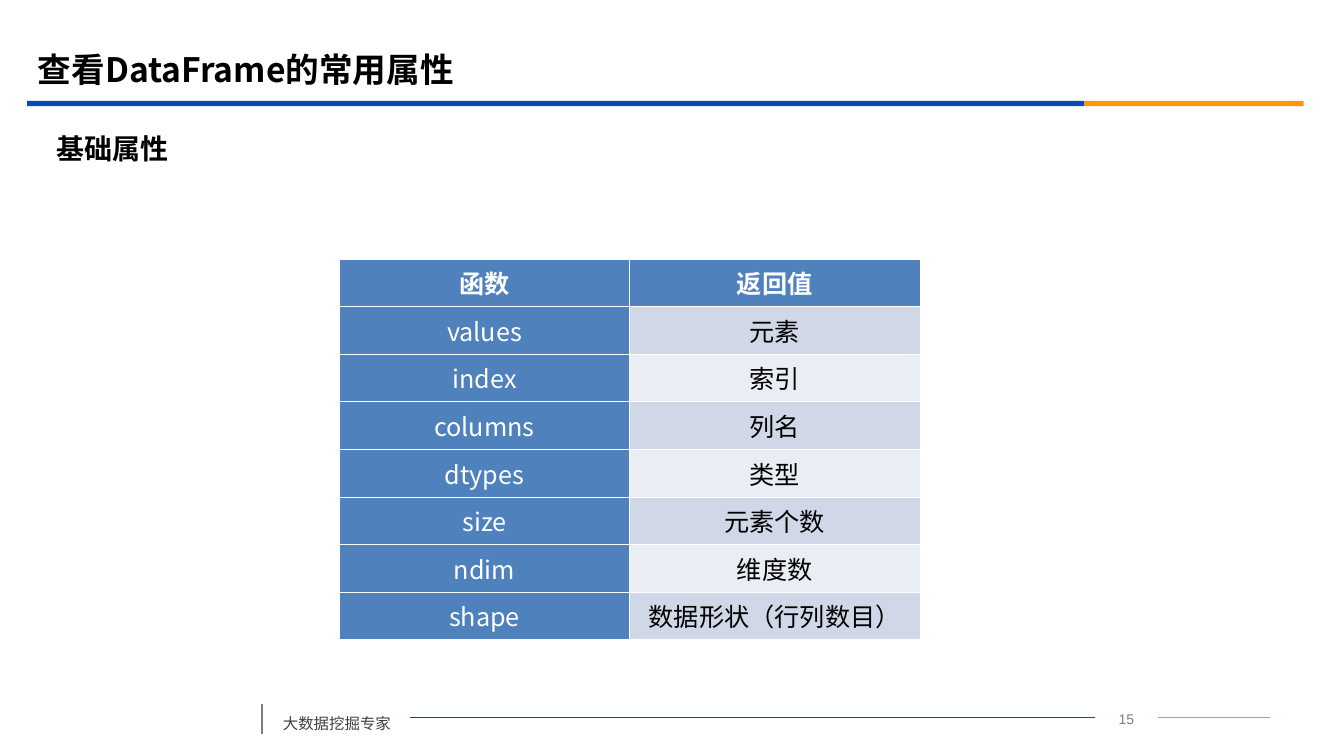
from lxml import etree
from pptx import Presentation
from pptx.dml.color import RGBColor
from pptx.enum.shapes import MSO_CONNECTOR as CONN, MSO_SHAPE as SHAPE
from pptx.enum.text import MSO_ANCHOR as ANCHOR, PP_ALIGN as ALIGN
from pptx.oxml.ns import qn
from pptx.util import Pt

BLACK = RGBColor(0x00, 0x00, 0x00)
WHITE = RGBColor(0xFF, 0xFF, 0xFF)
BLUE = RGBColor(0x06, 0x4B, 0xB2)
ORANGE = RGBColor(0xFB, 0x97, 0x08)
AMBER = RGBColor(0xF1, 0x95, 0x00)
GREY = RGBColor(0x7F, 0x7F, 0x7F)
DARK = RGBColor(0x40, 0x40, 0x40)
HEAD = RGBColor(0x4F, 0x81, 0xBD)
BANDS = RGBColor(0xD0, 0xD8, 0xE8), RGBColor(0xE9, 0xED, 0xF4)
CJK = "Noto Sans CJK SC"

ROWS = [
    ("函数", "返回值"),
    ("values", "元素"),
    ("index", "索引"),
    ("columns", "列名"),
    ("dtypes", "类型"),
    ("size", "元素个数"),
    ("ndim", "维度数"),
    ("shape", "数据形状（行列数目）"),
]


def write(tf, text, size, color, bold=False, align=ALIGN.LEFT, font=CJK):
    """Fill a text frame with one formatted paragraph and return it."""
    tf.text = text
    p = tf.paragraphs[0]
    p.alignment = align
    r = p.runs[0]
    r.font.size, r.font.bold, r.font.name = Pt(size), bold, font
    r.font.color.rgb = color
    etree.SubElement(r.font._element, qn("a:ea"), typeface=font)
    return p


def add_text(slide, box, text, size, color, anchor=ANCHOR.MIDDLE, **style):
    """Add a wrapping text box at box."""
    sp = slide.shapes.add_textbox(*map(Pt, box))
    tf = sp.text_frame
    tf.word_wrap = True
    tf.vertical_anchor = anchor
    write(tf, text, size, color, **style)
    return sp


def add_line(slide, start, end, color, width):
    """Add a straight line without shadow."""
    ln = slide.shapes.add_connector(CONN.STRAIGHT, *map(Pt, (*start, *end)))
    ln.line.color.rgb = color
    ln.line.width = Pt(width)
    etree.SubElement(ln._element.spPr, qn("a:effectLst"))
    return ln


def add_header(slide, x, y, w, h):
    """Draw the title above a two-coloured rule."""
    add_text(slide, (x + 0.7, y, 864, 41.8), "查看DataFrame的常用属性", 24, BLACK, bold=True)
    rule = 3.8
    split = 755.3
    for left, width, color in ((x, split, BLUE), (x + split, w - split, ORANGE)):
        bar = slide.shapes.add_shape(
            SHAPE.RECTANGLE, Pt(left), Pt(y + h - rule), Pt(width), Pt(rule))
        bar.shadow.inherit = False
        bar.fill.solid()
        bar.fill.fore_color.rgb = color
        bar.line.fill.background()


def set_border(cell, side, width):
    """Draw one white border of a cell."""
    ln = etree.SubElement(cell._tc.get_or_add_tcPr(), qn(f"a:ln{side}"), w=str(Pt(width)))
    fill = etree.SubElement(ln, qn("a:solidFill"))
    etree.SubElement(fill, qn("a:srgbClr"), val=str(WHITE))


def add_attribute_table(slide, x, y, w, h):
    """Draw the table of attributes and their return values."""
    frame = slide.shapes.add_table(len(ROWS), 2, Pt(x), Pt(y), Pt(w), Pt(h))
    table = frame.table
    for col in table.columns:
        col.width = Pt(w / 2)
    for i, texts in enumerate(ROWS):
        table.rows[i].height = Pt(h / len(ROWS))
        for j, text in enumerate(texts):
            cell = table.cell(i, j)
            blue = i == 0 or j == 0
            cell.vertical_anchor = ANCHOR.MIDDLE
            write(cell.text_frame, text, 18, WHITE if blue else BLACK,
                  bold=i == 0, align=ALIGN.CENTER)
            heavy = {0: "B", 1: "T"}.get(i)
            for side in "LRTB":
                set_border(cell, side, 1.47 if side == heavy else 0.45)
            cell.fill.solid()
            cell.fill.fore_color.rgb = HEAD if blue else BANDS[(i - 1) % 2]


def add_footer(slide, x, y, w, h):
    """Draw the footer label and page number joined by thin lines."""
    mid = y + h / 2
    add_line(slide, (x, y + 3), (x, y + 24.6), GREY, 1.25)
    label = add_text(slide, (x + 7.9, y, 97.9, h), "大数据挖掘专家", 11, DARK,
                     anchor=ANCHOR.TOP)
    label.text_frame.paragraphs[0].line_spacing = 1.5
    number = add_text(slide, (x + 595.5, mid - 9, 44.6, 18), "15", 10, GREY,
                      anchor=ANCHOR.TOP, align=ALIGN.CENTER, font="Arial")
    ln = add_line(slide, (x + 105.8, mid), (x + 595.5, mid), BLUE, 0.75)
    ln.begin_connect(label, 3)
    ln.end_connect(number, 1)
    ln = add_line(slide, (x + 640.1, mid), (x + w, mid), AMBER, 0.75)
    ln.begin_connect(number, 3)


def main():
    """Build the slide and save it."""
    prs = Presentation()
    prs.slide_width, prs.slide_height = Pt(960.5), Pt(540)
    s = prs.slides.add_slide(prs.slide_layouts[6])
    add_header(s, 19.4, 28.1, 912.2, 47.8)
    add_text(s, (33.1, 89.3, 874.8, 33.8), "基础属性", 20, BLACK, bold=True)
    add_attribute_table(s, 242.6, 185, 414.8, 272)
    add_footer(s, 187.2, 499.6, 720.7, 26)
    prs.save("out.pptx")


if __name__ == "__main__":
    main()
